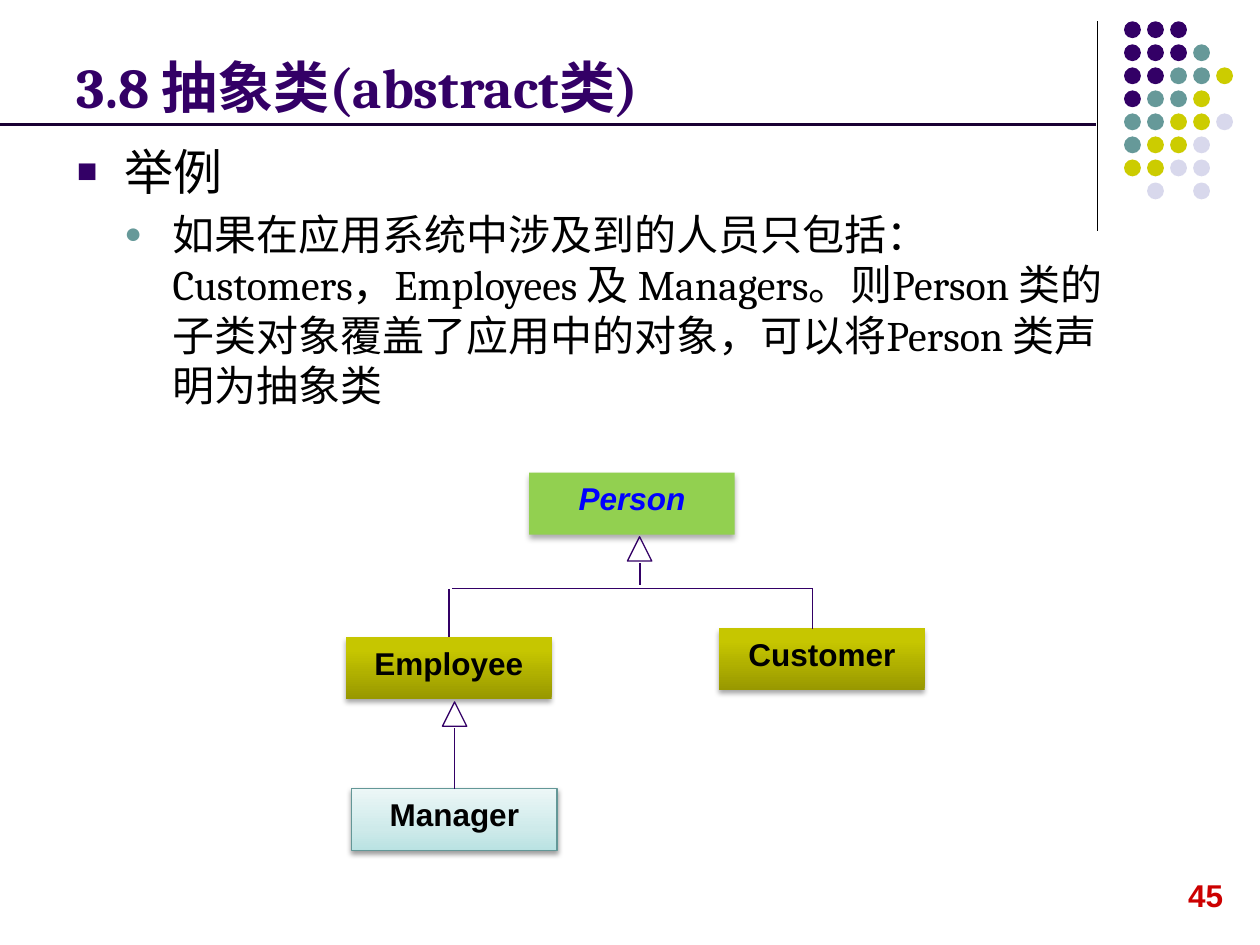
from dataclasses import dataclass

from lxml import etree
from pptx import Presentation
from pptx.dml.color import RGBColor
from pptx.enum.shapes import MSO_CONNECTOR, MSO_SHAPE
from pptx.enum.text import MSO_ANCHOR, PP_ALIGN
from pptx.oxml.ns import qn
from pptx.util import Cm, Pt

STRAIGHT = MSO_CONNECTOR.STRAIGHT
ELLIPSE, RECTANGLE = MSO_SHAPE.OVAL, MSO_SHAPE.RECTANGLE
TRIANGLE = MSO_SHAPE.ISOSCELES_TRIANGLE
TOP, BOTTOM = MSO_ANCHOR.TOP, MSO_ANCHOR.BOTTOM
CENTER = PP_ALIGN.CENTER
TOP_SIDE = 0


@dataclass(frozen=True)
class Theme:
    purple: str = "330066"
    teal: str = "669999"
    olive: str = "CCCC00"
    lavender: str = "D8D8EC"
    black: str = "000000"
    rule: str = "190033"
    red: str = "CC0000"
    blue: str = "0000FF"
    green: str = "92D050"
    manager_edge: str = "639797"
    olive_fade: tuple = ((0, "989800"), (80, "C6C600"), (100, "C7C700"))
    teal_fade: tuple = ((0, "B9E2E2"), (35, "CEEAEA"), (100, "ECF7F7"))
    serif: str = "Cambria"
    sans: str = "Arial"
    title_size: int = 32
    topic_size: int = 28
    detail_size: int = 24
    label_size: int = 18
    thin: float = 0.75
    thick: float = 2.25


THEME = Theme()

# Corner ornament: one letter per dot, a point for a gap
DOT_ROWS = ("PPP..", "PPPT.", "PPTTO", "PTTO.", "TTOOL", "TOOL.", "OOLL.", ".L.L.")
DOT_COLORS = {"P": THEME.purple, "T": THEME.teal, "O": THEME.olive, "L": THEME.lavender}
DOT_LEFT, DOT_TOP, DOT_SIZE, DOT_PITCH = 22.66, 0.43, 0.34, 3.25 / 7

# Class diagram, in centimetres
CLASS_WIDTH, CLASS_HEIGHT = 4.14, 1.25
ARROW_SIZE = 0.49
BUS_Y = 11.87


def add_run(para, text, size, color, font, bold=False, italic=False):
    span = para.add_run()
    span.text = text
    span.font.size = Pt(size)
    span.font.name = font
    span.font.bold = bold
    span.font.italic = italic
    span.font.color.rgb = RGBColor.from_string(color)


def add_text_box(page, left, top, width, height, anchor=TOP, wrap=True):
    box = page.shapes.add_textbox(Cm(left), Cm(top), Cm(width), Cm(height))
    box.text_frame.word_wrap = wrap
    box.text_frame.vertical_anchor = anchor
    return box.text_frame


def set_bullet(para, char, color, indent):
    props = para._p.get_or_add_pPr()
    props.set("marL", str(Cm(indent)))
    props.set("indent", str(-Cm(0.97)))
    bullet_color = etree.SubElement(props, qn("a:buClr"))
    etree.SubElement(bullet_color, qn("a:srgbClr"), val=color)
    etree.SubElement(props, qn("a:buSzPct"), val="70000")
    etree.SubElement(props, qn("a:buFont"), typeface=THEME.sans)
    etree.SubElement(props, qn("a:buChar"), char=char)


def add_shape(page, kind, left, top, width, height, fill=None, line=None):
    shape = page.shapes.add_shape(kind, Cm(left), Cm(top), Cm(width), Cm(height))
    shape.shadow.inherit = False
    if fill is None:
        shape.fill.background()
    elif isinstance(fill, tuple):
        set_gradient(shape, fill)
    else:
        shape.fill.solid()
        shape.fill.fore_color.rgb = RGBColor.from_string(fill)
    if line is None:
        shape.line.fill.background()
    else:
        shape.line.color.rgb = RGBColor.from_string(line)
        shape.line.width = Pt(THEME.thin)
    return shape


def set_gradient(shape, stops):
    shape.fill.gradient()
    shape.fill.gradient_angle = 90
    stop_list = shape._element.spPr.find(qn("a:gradFill")).find(qn("a:gsLst"))
    for stop in list(stop_list):
        stop_list.remove(stop)
    for position, color in stops:
        stop = etree.SubElement(stop_list, qn("a:gs"), pos=str(position * 1000))
        etree.SubElement(stop, qn("a:srgbClr"), val=color)


def set_shadow(shape, opacity, blur, distance):
    effects = shape._element.spPr.find(qn("a:effectLst"))
    shadow = etree.SubElement(
        effects, qn("a:outerShdw"), blurRad=str(Pt(blur)), dist=str(Pt(distance)),
        dir="5400000", rotWithShape="0")
    color = etree.SubElement(shadow, qn("a:srgbClr"), val=THEME.black)
    etree.SubElement(color, qn("a:alpha"), val=str(opacity * 1000))


def add_class(page, name, left, top, fill, shadow, line=None,
              color=THEME.black, italic=False):
    box = add_shape(page, RECTANGLE, left, top, CLASS_WIDTH, CLASS_HEIGHT, fill, line)
    set_shadow(box, *shadow)
    box.text_frame.vertical_anchor = TOP
    para = box.text_frame.paragraphs[0]
    para.alignment = CENTER
    add_run(para, name, THEME.label_size, color, THEME.sans, True, italic)
    return box


def add_line(page, x1, y1, x2, y2, color=THEME.purple, width=THEME.thin):
    line = page.shapes.add_connector(STRAIGHT, Cm(x1), Cm(y1), Cm(x2), Cm(y2))
    line.line.color.rgb = RGBColor.from_string(color)
    line.line.width = Pt(width)
    etree.SubElement(line._element.spPr, qn("a:effectLst"))
    return line


def add_ornament(page):
    add_line(page, 22.12, 0.43, 22.12, 4.65, THEME.black)
    for row, letters in enumerate(DOT_ROWS):
        for column, letter in enumerate(letters):
            if letter in DOT_COLORS:
                add_shape(page, ELLIPSE, DOT_LEFT + column * DOT_PITCH,
                          DOT_TOP + row * DOT_PITCH, DOT_SIZE, DOT_SIZE,
                          DOT_COLORS[letter])


def add_texts(page):
    # Page number
    frame = add_text_box(page, 23.7, 17.53, 1.22, 1.02, wrap=False)
    add_run(frame.paragraphs[0], "45", THEME.label_size, THEME.red, THEME.sans, True)

    # Title
    frame = add_text_box(page, 1.3, 0.53, 20.96, 2.01, BOTTOM)
    add_run(frame.paragraphs[0], "3.8 抽象类(abstract类)", THEME.title_size,
            THEME.purple, THEME.serif, True)

    # Bulleted body
    frame = add_text_box(page, 1.3, 2.72, 21.79, 14.4)
    topic = frame.paragraphs[0]
    set_bullet(topic, "■", THEME.purple, 0.97)
    add_run(topic, "举例", THEME.topic_size, THEME.black, THEME.serif)
    detail = frame.add_paragraph()
    detail.level = 1
    set_bullet(detail, "●", THEME.teal, 1.93)
    detail.space_before = Pt(THEME.detail_size * 0.2)
    add_run(detail, "如果在应用系统中涉及到的人员只包括：Customers，Employees 及 Managers。"
            "则Person 类的子类对象覆盖了应用中的对象，可以将Person 类声明为抽象类",
            THEME.detail_size, THEME.black, THEME.serif)


def add_diagram(page):
    # Classes
    olive_shadow = (35, 3.1, 1.8)
    add_class(page, "Person", 10.67, 9.53, THEME.green, (32, 3.5, 2.2),
              color=THEME.blue, italic=True)
    employee = add_class(page, "Employee", 6.98, 12.85, THEME.olive_fade, olive_shadow)
    manager = add_class(page, "Manager", 7.09, 15.9, THEME.teal_fade, (38, 3.1, 1.6),
                        THEME.manager_edge)
    add_class(page, "Customer", 14.5, 12.67, THEME.olive_fade, olive_shadow)

    # Inheritance arrowheads
    for left, top in ((12.65, 10.82), (8.92, 14.15)):
        add_shape(page, TRIANGLE, left, top, ARROW_SIZE, ARROW_SIZE, line=THEME.purple)

    # Inheritance lines
    add_line(page, 12.9, 11.35, 12.9, 11.79)
    add_line(page, 9.12, BUS_Y, 16.38, BUS_Y)
    add_line(page, 16.38, BUS_Y, 16.38, 12.67)
    for box, start_y in ((employee, BUS_Y), (manager, 14.68)):
        middle = (box.left + box.width / 2) / Cm(1)
        line = add_line(page, middle, start_y, middle, box.top / Cm(1))
        line.end_connect(box, TOP_SIDE)


def main():
    deck = Presentation()
    deck.slide_width, deck.slide_height = Cm(25.4), Cm(19.05)
    page = deck.slides.add_slide(deck.slide_layouts[6])
    add_ornament(page)
    add_texts(page)
    add_diagram(page)
    # Rule under the title
    add_line(page, 0, 2.51, 22.1, 2.51, THEME.rule, THEME.thick)
    deck.save("out.pptx")


if __name__ == "__main__":
    main()
